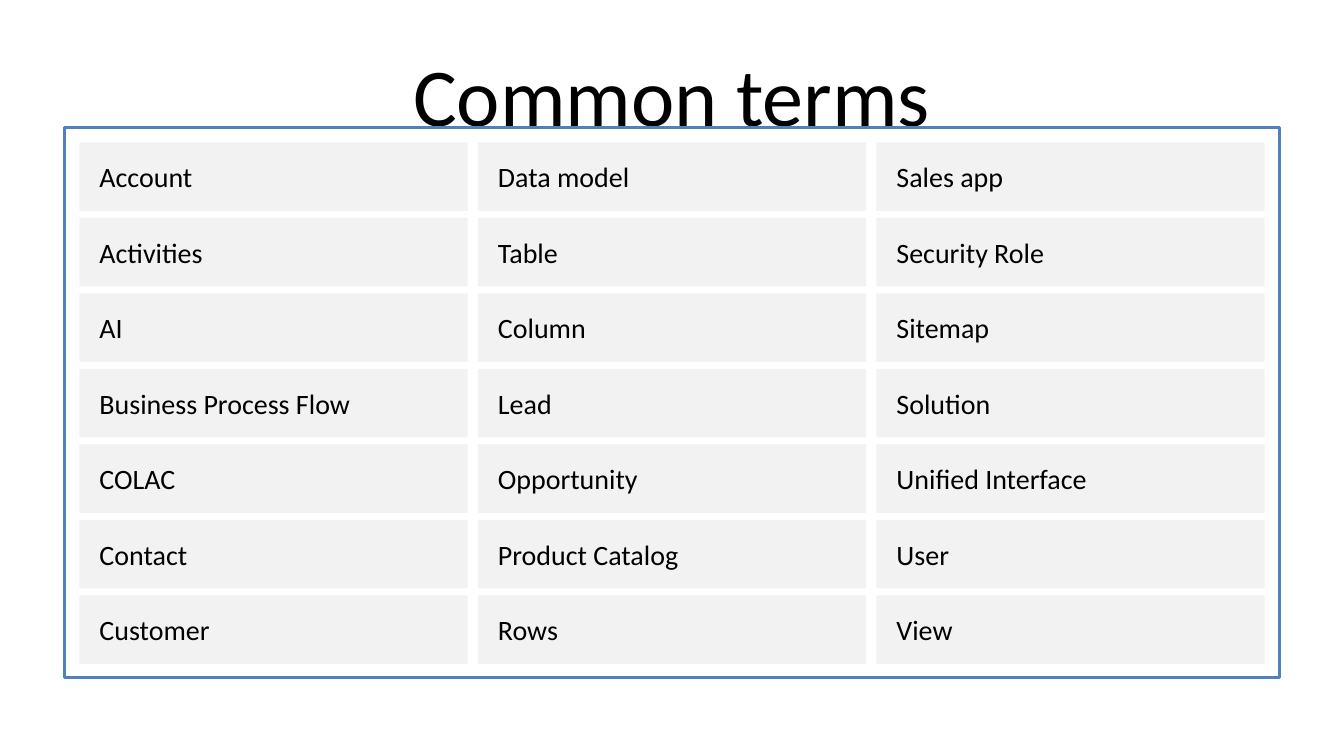
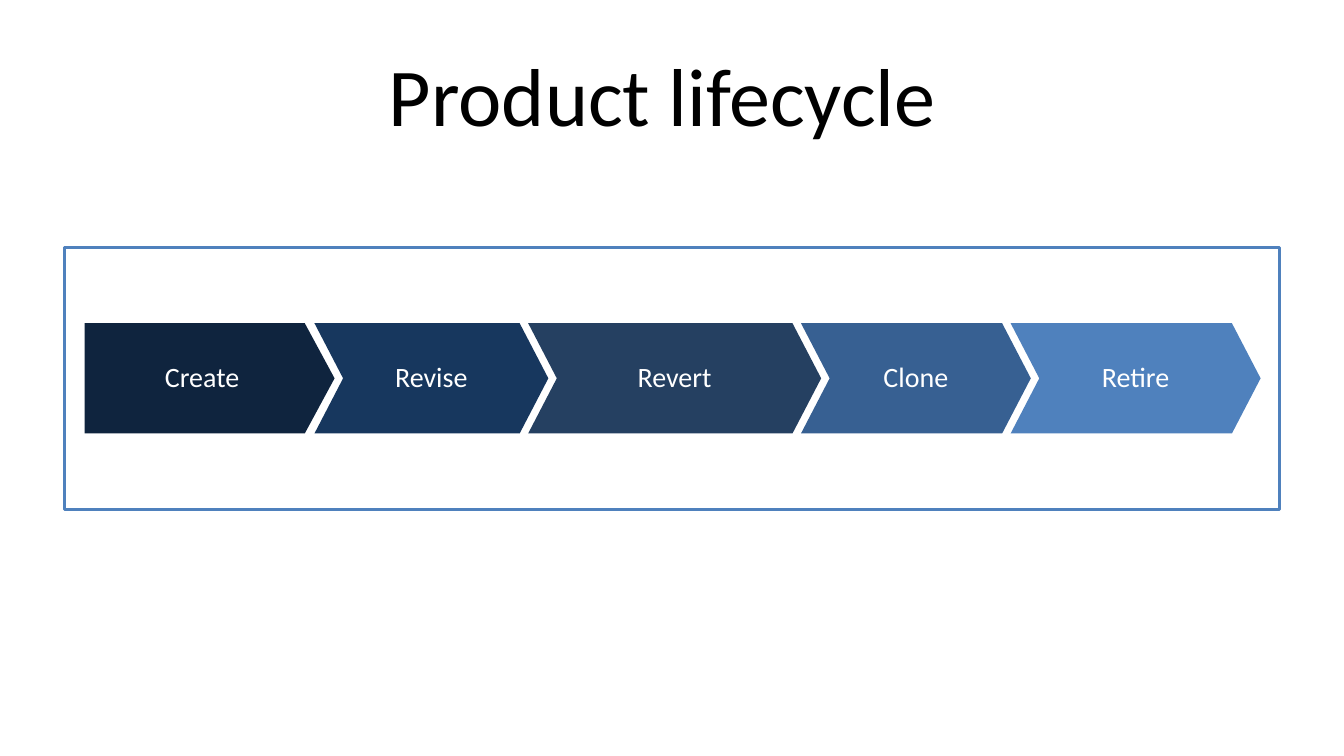
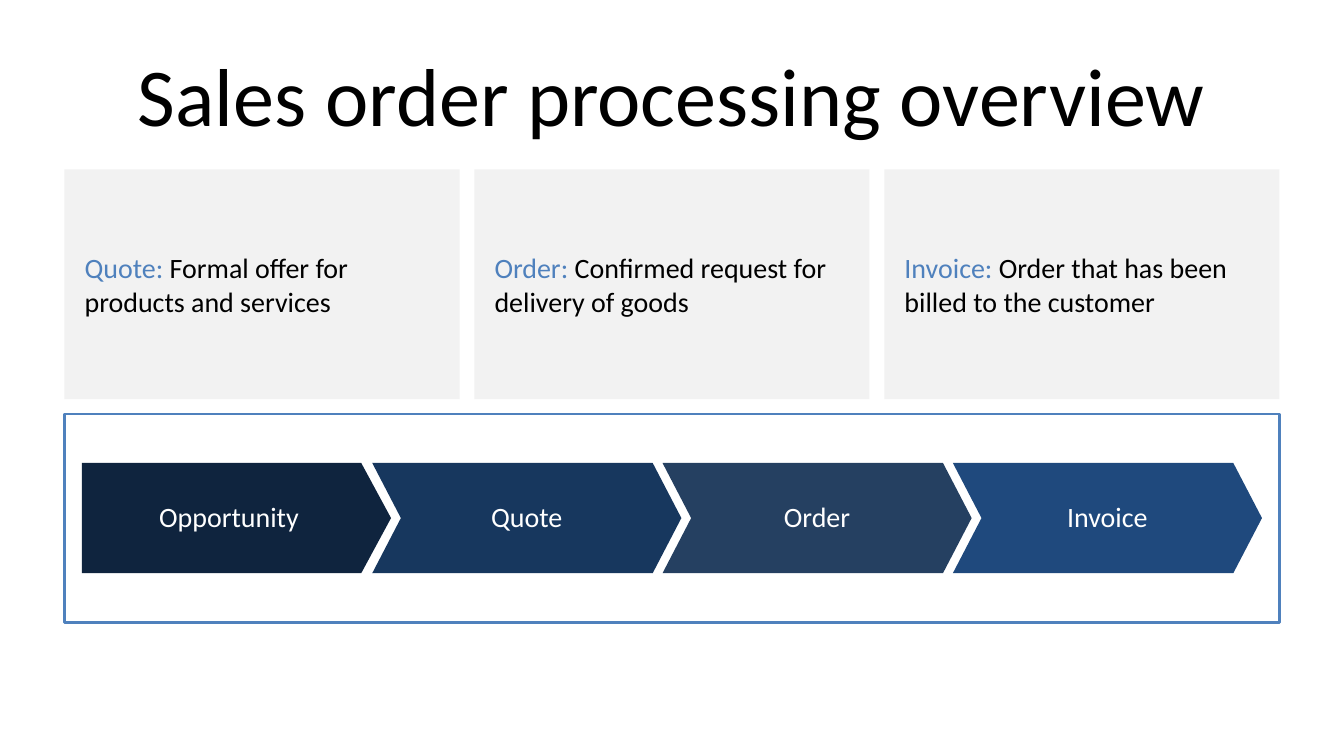
from pptx import Presentation
from pptx.dml.color import RGBColor
from pptx.enum.shapes import MSO_SHAPE
from pptx.enum.text import MSO_ANCHOR, PP_ALIGN
from pptx.util import Inches, Pt

BLACK = RGBColor(0x00, 0x00, 0x00)
WHITE = RGBColor(0xFF, 0xFF, 0xFF)
GREY = RGBColor(0xF2, 0xF2, 0xF2)
BLUE = RGBColor(0x4F, 0x81, 0xBD)
MIDNIGHT = RGBColor(0x0F, 0x24, 0x3E)
NAVY = RGBColor(0x17, 0x37, 0x5E)
SLATE = RGBColor(0x25, 0x40, 0x61)
STEEL = RGBColor(0x37, 0x60, 0x92)
ROYAL = RGBColor(0x1F, 0x49, 0x7D)

FONT = "Calibri"
MARGIN = 0.48
CONTENT_WIDTH = 10 - 2 * MARGIN
STEP_HEIGHT = 0.82


def add_panel(slide, kind, left, top, width, height, fill=None):
    shape = slide.shapes.add_shape(
        kind, Inches(left), Inches(top), Inches(width), Inches(height))
    shape.shadow.inherit = False
    if fill is None:
        shape.fill.background()
        shape.line.color.rgb = BLUE
        shape.line.width = Pt(1.5)
    else:
        shape.fill.solid()
        shape.fill.fore_color.rgb = fill
        shape.line.fill.background()
    return shape


def write(shape, parts, size=15, alignment=PP_ALIGN.LEFT, insets=(0.15, 0.07)):
    text_frame = shape.text_frame
    text_frame.word_wrap = True
    text_frame.vertical_anchor = MSO_ANCHOR.MIDDLE
    text_frame.margin_left = text_frame.margin_right = Inches(insets[0])
    text_frame.margin_top = text_frame.margin_bottom = Inches(insets[1])
    paragraph = text_frame.paragraphs[0]
    paragraph.alignment = alignment
    for text, color in parts:
        run = paragraph.add_run()
        run.text = text
        run.font.name = FONT
        run.font.size = Pt(size)
        run.font.color.rgb = color
    return paragraph


presentation = Presentation()
presentation.slide_width = Inches(10)
presentation.slide_height = Inches(5.625)

slides = []
for title in ["Common terms", "Product lifecycle ", "Sales order processing overview"]:
    slide = presentation.slides.add_slide(presentation.slide_layouts[6])
    title_box = slide.shapes.add_textbox(Inches(0.5), Inches(0.23), Inches(9), Inches(0.94))
    write(title_box, [(title, BLACK)], 44, PP_ALIGN.CENTER, (0.1, 0.05))
    slides.append(slide)
terms_slide, lifecycle_slide, order_slide = slides

TERM_COLUMNS = [
    ["Account", "Activities", "AI", "Business Process Flow", "COLAC", "Contact", "Customer"],
    ["Data model", "Table", "Column", "Lead", "Opportunity", "Product Catalog", "Rows"],
    ["Sales app", "Security Role", "Sitemap", "Solution", "Unified Interface", "User", "View"],
]
terms_top, terms_height, padding = 0.95, 4.09, 0.11
term_width, term_height = 2.89, 0.51
column_pitch = (CONTENT_WIDTH - 2 * padding - term_width) / 2
row_pitch = (terms_height - 2 * padding + 0.01 - term_height) / 6

add_panel(terms_slide, MSO_SHAPE.RECTANGLE, MARGIN, terms_top, CONTENT_WIDTH, terms_height)
for column, terms in enumerate(TERM_COLUMNS):
    for row, term in enumerate(terms):
        cell = add_panel(
            terms_slide, MSO_SHAPE.RECTANGLE,
            MARGIN + padding + column * column_pitch,
            terms_top + padding + row * row_pitch,
            term_width, term_height, GREY)
        write(cell, [(term, BLACK)])

DEFINITIONS = [
    ("Quote: ", "Formal offer for products and services"),
    ("Order: ", "Confirmed request for delivery of goods"),
    ("Invoice: ", "Order that has been billed to the customer"),
]
card_width = 2.94
card_pitch = (CONTENT_WIDTH - card_width) / 2
for column, (term, meaning) in enumerate(DEFINITIONS):
    card = add_panel(order_slide, MSO_SHAPE.RECTANGLE,
                     MARGIN + column * card_pitch, 1.26, card_width, 1.71, GREY)
    write(card, [(term, BLUE), (meaning, BLACK)])

LIFECYCLE_STEPS = [
    ("Create", 1.86, MIDNIGHT),
    ("Revise", 1.74, NAVY),
    ("Revert", 2.18, SLATE),
    ("Clone", 1.71, STEEL),
    ("Retire", 1.86, BLUE),
]
ORDER_STEPS = [
    ("Opportunity", 2.3, MIDNIGHT),
    ("Quote", 2.3, NAVY),
    ("Order", 2.3, SLATE),
    ("Invoice", 2.3, ROYAL),
]
FLOWS = [
    (lifecycle_slide, 1.84, 1.95, 0.63, 0.15, LIFECYCLE_STEPS),
    (order_slide, 3.08, 1.55, 0.61, 0.14, ORDER_STEPS),
]
for slide, frame_top, frame_height, left, overlap, steps in FLOWS:
    add_panel(slide, MSO_SHAPE.RECTANGLE, MARGIN, frame_top, CONTENT_WIDTH, frame_height)
    step_top = frame_top + (frame_height - STEP_HEIGHT) / 2
    for index, (name, width, color) in enumerate(steps):
        kind = MSO_SHAPE.CHEVRON if index else MSO_SHAPE.PENTAGON
        step = add_panel(slide, kind, left, step_top, width, STEP_HEIGHT, color)
        step.adjustments[0] = 0.26 if index else 0.27
        paragraph = write(step, [(name, WHITE)], 15, PP_ALIGN.CENTER, (0.07, 0.04))
        paragraph.line_spacing = 0.9
        left += width - overlap

presentation.save("out.pptx")
